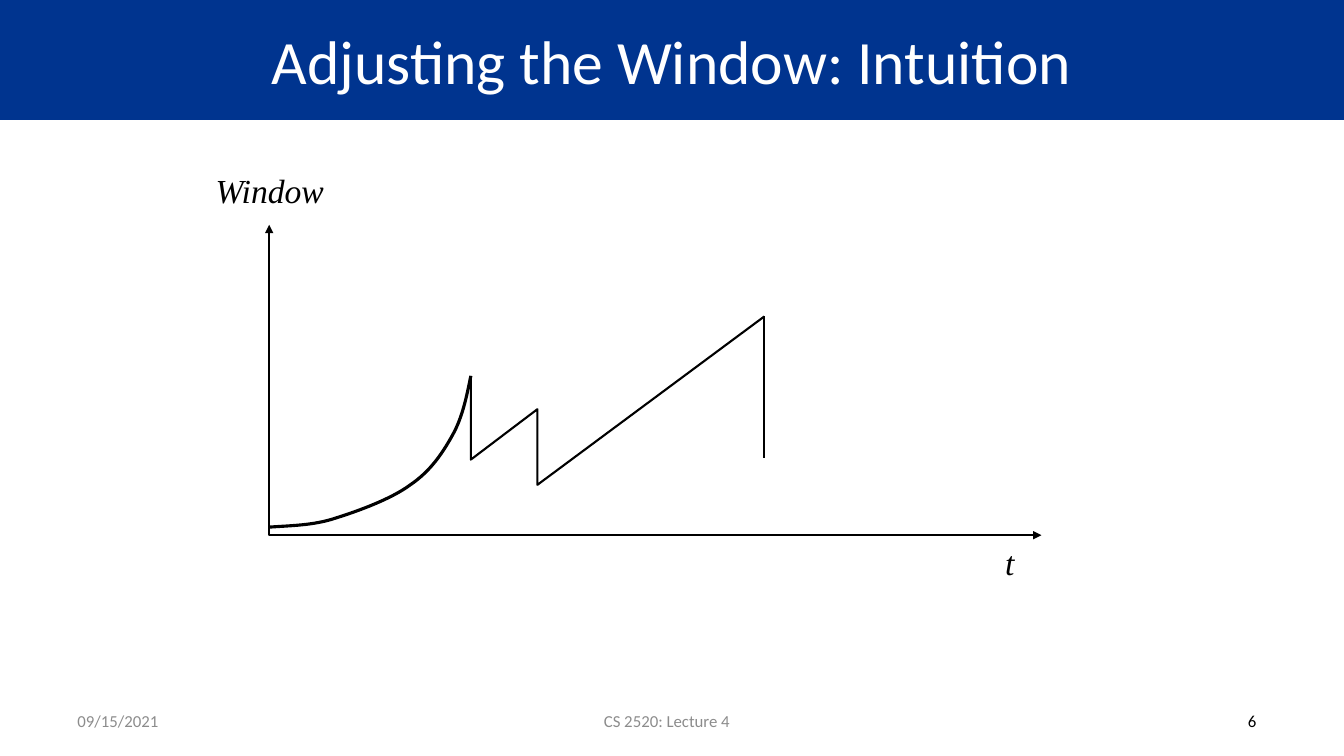
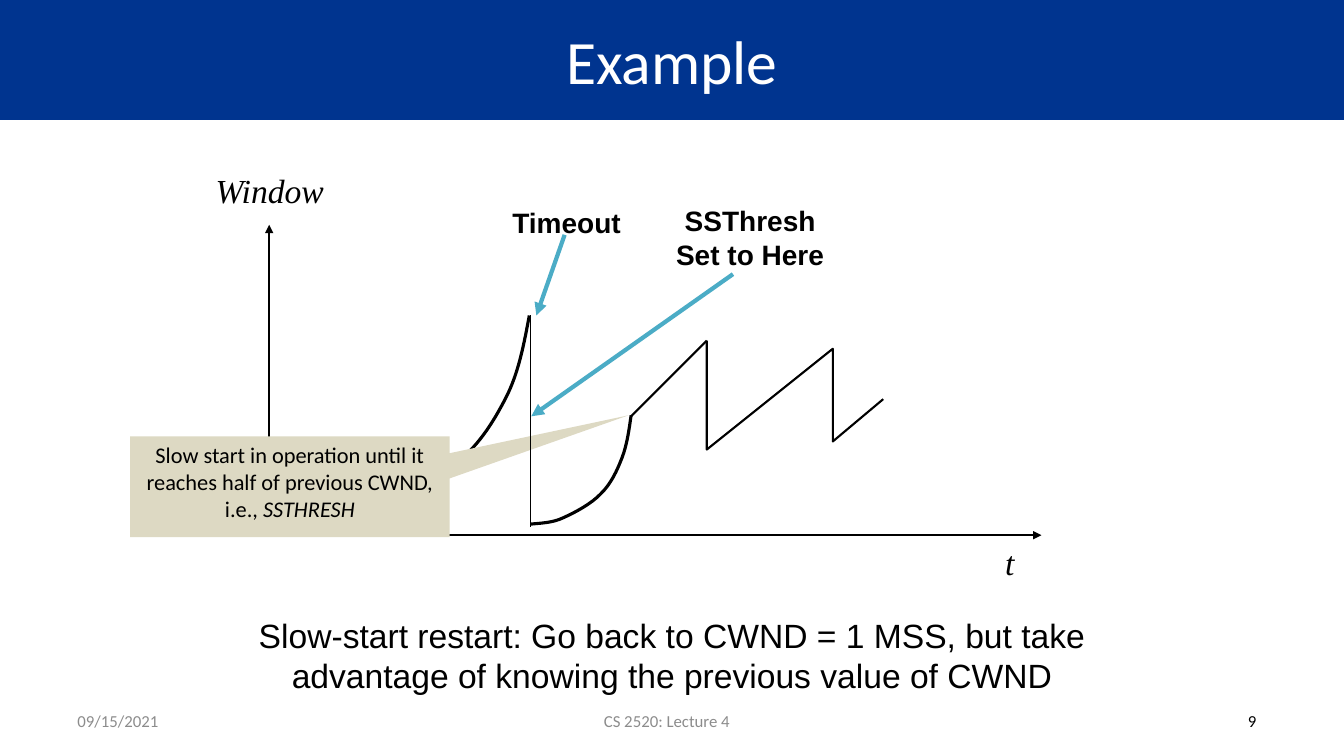
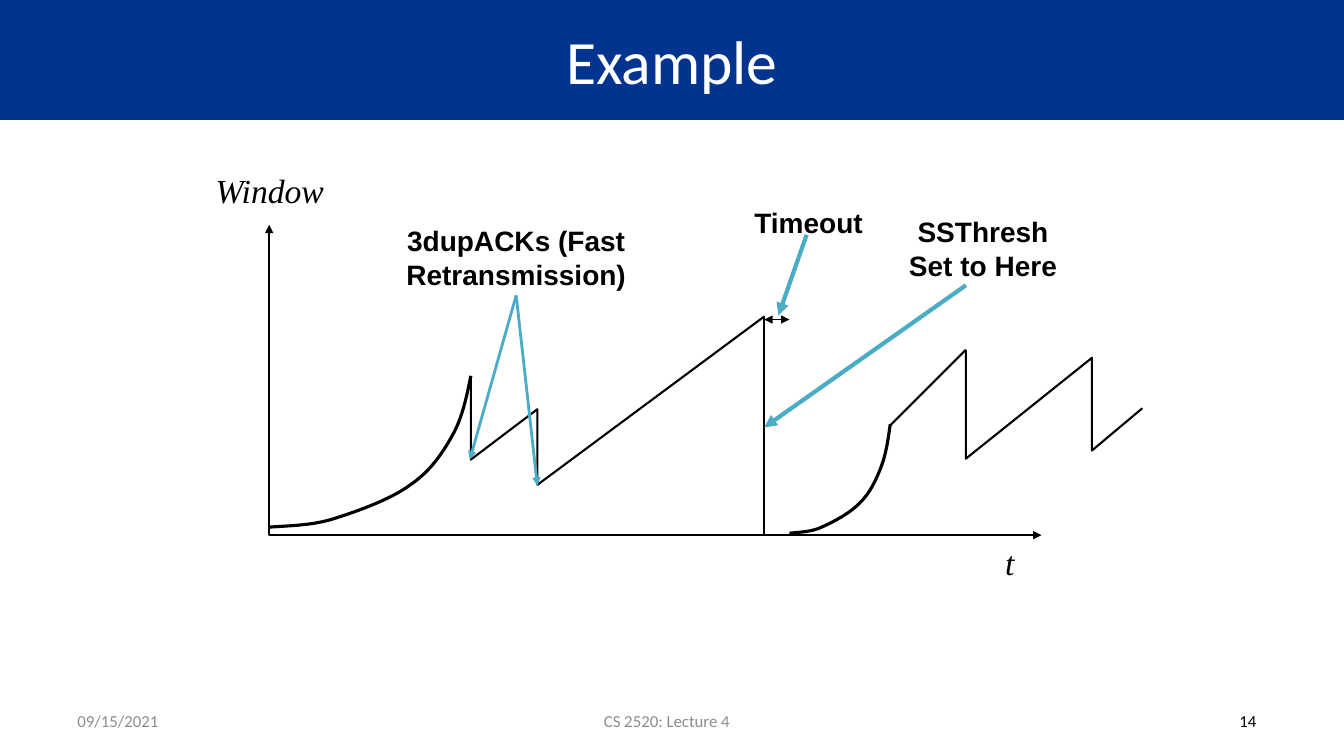
from dataclasses import dataclass

from lxml import etree
from pptx import Presentation
from pptx.dml.color import RGBColor
from pptx.enum.shapes import MSO_CONNECTOR, MSO_SHAPE
from pptx.enum.text import MSO_ANCHOR as Anchor, PP_ALIGN as Align
from pptx.oxml.ns import qn
from pptx.util import Emu, Pt

PX = 9144  # EMU in one px, 100 px to the inch
WIDTH, HEIGHT = 1333, 750

BLACK = RGBColor(0x00, 0x00, 0x00)
WHITE = RGBColor(0xFF, 0xFF, 0xFF)
NAVY = RGBColor(0x00, 0x34, 0x8F)
GRAY = RGBColor(0x8C, 0x8C, 0x8C)
TEAL = RGBColor(0x4B, 0xAC, 0xC6)
SAND = RGBColor(0xDD, 0xD9, 0xC3)

Point = tuple[float, float]
Box = tuple[int, int, int, int]


@dataclass(frozen=True)
class Style:
    font: str
    size: int
    color: RGBColor = BLACK
    bold: bool = False
    italic: bool = False
    align: Align = Align.CENTER
    anchor: Anchor = Anchor.TOP
    wrap: bool = True


@dataclass(frozen=True)
class Stroke:
    width: float
    color: RGBColor = BLACK
    head: bool = False
    tail: bool = False


TITLE = Style("Calibri", 44, WHITE, anchor=Anchor.MIDDLE)
DATE = Style("Calibri", 12, GRAY, align=Align.LEFT, anchor=Anchor.MIDDLE)
FOOTER = Style("Calibri", 12, GRAY, anchor=Anchor.MIDDLE)
NUMBER = Style("Calibri", 12, align=Align.RIGHT, anchor=Anchor.MIDDLE)
AXIS_NAME = Style("Times New Roman", 24, italic=True, align=Align.LEFT, wrap=False)
EVENT = Style("Arial", 20, bold=True)
SUMMARY = Style("Arial", 24)
CALLOUT = Style("Calibri", 16)

AXIS = Stroke(1.5, head=True, tail=True)
TRACE = Stroke(1.5)
GROWTH = Stroke(2.25)
DROP = Stroke(1)
POINTER = Stroke(3, TEAL, tail=True)
THIN_POINTER = Stroke(2, TEAL, tail=True)
SPAN = Stroke(0.75, head=True, tail=True)

# Slow start from its peak back to its start, as cubic control points in a unit box
GROWTH_POINTS: list[Point] = [
    (1, 0),
    (0.98, 0.13), (0.96, 0.27), (0.91, 0.39),
    (0.86, 0.51), (0.8, 0.63), (0.7, 0.72),
    (0.61, 0.81), (0.45, 0.89), (0.33, 0.94),
    (0.22, 0.99), (0.1, 0.99), (0, 1),
]


def emu(*lengths: float) -> list[Emu]:
    return [Emu(round(length * PX)) for length in lengths]


def write(shape, lines: list[str], style: Style) -> None:
    frame = shape.text_frame
    frame.word_wrap = style.wrap
    frame.vertical_anchor = style.anchor
    for index, line in enumerate(lines):
        para = frame.add_paragraph() if index else frame.paragraphs[0]
        para.alignment = style.align
        font = para.font
        font.name, font.size = style.font, Pt(style.size)
        font.bold, font.italic = style.bold, style.italic
        font.color.rgb = style.color
        para.add_run().text = line


def add_text(page, box: Box, style: Style, *lines: str) -> None:
    write(page.shapes.add_textbox(*emu(*box)), list(lines), style)


def add_block(page, kind: MSO_SHAPE, box: Box, fill: RGBColor):
    """Add a filled preset shape without outline or shadow."""
    block = page.shapes.add_shape(kind, *emu(*box))
    block.shadow.inherit = False
    block.fill.solid()
    block.fill.fore_color.rgb = fill
    block.line.fill.background()
    return block


def apply_stroke(line, stroke: Stroke) -> None:
    line.width = Pt(stroke.width)
    line.color.rgb = stroke.color
    outline = line._get_or_add_ln()
    for tag, wanted in (("a:headEnd", stroke.head), ("a:tailEnd", stroke.tail)):
        if wanted:
            etree.SubElement(outline, qn(tag), type="triangle")


def add_line(page, start: Point, end: Point, stroke: Stroke) -> None:
    line = page.shapes.add_connector(MSO_CONNECTOR.STRAIGHT, *emu(*start, *end))
    apply_stroke(line.line, stroke)
    etree.SubElement(line._element.spPr, qn("a:effectLst"))


def add_polyline(page, points: list[Point], stroke: Stroke):
    first, *rest = [emu(*point) for point in points]
    builder = page.shapes.build_freeform(*first)
    builder.add_line_segments(rest, close=False)
    shape = builder.convert_to_shape()
    shape.shadow.inherit = False
    shape.fill.background()
    apply_stroke(shape.line, stroke)
    return shape


def add_growth(page, box: Box) -> None:
    """Draw the slow-start curve, turning each three segments into one cubic."""
    left, top, width, height = box
    points = [(left + x * width, top + y * height) for x, y in GROWTH_POINTS]
    curve = add_polyline(page, points, GROWTH)
    segments = list(curve._element.iter(qn("a:lnTo")))
    for index in range(0, len(segments), 3):
        cubic = etree.Element(qn("a:cubicBezTo"))
        segments[index].addprevious(cubic)
        for segment in segments[index:index + 3]:
            cubic.append(segment[0])
            segment.getparent().remove(segment)


def add_page(deck, title: str, number: int):
    """Add a slide with the title band, footers and the window-over-time axes."""
    page = deck.slides.add_slide(deck.slide_layouts[6])
    band = add_block(page, MSO_SHAPE.RECTANGLE, (0, 0, WIDTH, 119), NAVY)
    write(band, [title], TITLE)
    add_text(page, (67, 695, 164, 40), DATE, "09/15/2021")
    add_text(page, (205, 695, 913, 40), FOOTER, "CS 2520: Lecture 4")
    add_text(page, (1117, 695, 139, 40), NUMBER, str(number))
    add_polyline(page, [(267, 223), (267, 531), (1033, 531)], AXIS)
    add_text(page, (987, 533, 29, 50), AXIS_NAME, "t")
    add_text(page, (204, 164, 129, 50), AXIS_NAME, "Window")
    return page


def add_fast_recovery(page, floor: int) -> None:
    """Draw slow start, two halvings, and the last drop down to floor."""
    add_growth(page, (267, 373, 200, 150))
    add_polyline(page, [(467, 373), (467, 456), (533, 406), (533, 481), (758, 314)], TRACE)
    add_line(page, (758, 314), (758, floor), TRACE)


def add_restart(page, left: int, top: int) -> None:
    """Draw slow start up to the threshold and the sawtooth after it."""
    add_growth(page, (left, top, 100, 108))
    add_line(page, (left + 100, top + 1), (left + 175, top - 74), TRACE)
    teeth = [(175, -74), (175, 34), (300, -66), (300, 26), (350, -16)]
    add_polyline(page, [(left + x, top + y) for x, y in teeth], TRACE)


def add_timeout(page, left: int) -> None:
    add_line(page, (left + 75, 233), (left + 47, 313), POINTER)
    add_text(page, (left, 199, 154, 43), EVENT, "Timeout")


def add_threshold(page, left: int, top: int) -> None:
    add_line(page, (left + 83, top + 75), (left - 117, top + 216), POINTER)
    add_text(page, (left, top, 200, 77), EVENT, "SSThresh", "Set to Here")


def build_intuition(deck) -> None:
    page = add_page(deck, "Adjusting the Window: Intuition", 6)
    add_fast_recovery(page, floor=454)


def build_timeout_example(deck) -> None:
    page = add_page(deck, "Example", 9)
    add_growth(page, (267, 313, 258, 209))
    add_text(page, (238, 605, 857, 91), SUMMARY,
             "Slow-start restart: Go back to CWND = 1 MSS, but take "
             "advantage of knowing the previous value of CWND")
    add_restart(page, 526, 412)
    callout = add_block(page, MSO_SHAPE.RECTANGULAR_CALLOUT, (129, 433, 317, 100), SAND)
    callout.adjustments[0], callout.adjustments[1] = 1.06, -0.71
    write(callout, ["Slow start in operation until it reaches half of previous CWND, i.e., "],
          CALLOUT)
    span = callout.text_frame.paragraphs[0].add_run()
    span.text = "SSTHRESH"
    span.font.italic = True
    add_timeout(page, 485)
    add_threshold(page, 644, 197)
    add_line(page, (526, 313), (526, 523), DROP)


def build_combined_example(deck) -> None:
    page = add_page(deck, "Example", 14)
    add_fast_recovery(page, floor=531)
    add_restart(page, 783, 421)
    add_timeout(page, 725)
    add_line(page, (758, 317), (783, 317), SPAN)
    add_text(page, (383, 217, 258, 77), EVENT, "3dupACKs (Fast Retransmission)")
    for loss in ((466, 456), (533, 482)):
        add_line(page, (512, 293), loss, THIN_POINTER)
    add_threshold(page, 875, 208)


def main() -> None:
    deck = Presentation()
    deck.slide_width, deck.slide_height = emu(WIDTH, HEIGHT)
    build_intuition(deck)
    build_timeout_example(deck)
    build_combined_example(deck)
    deck.save("out.pptx")


if __name__ == "__main__":
    main()
